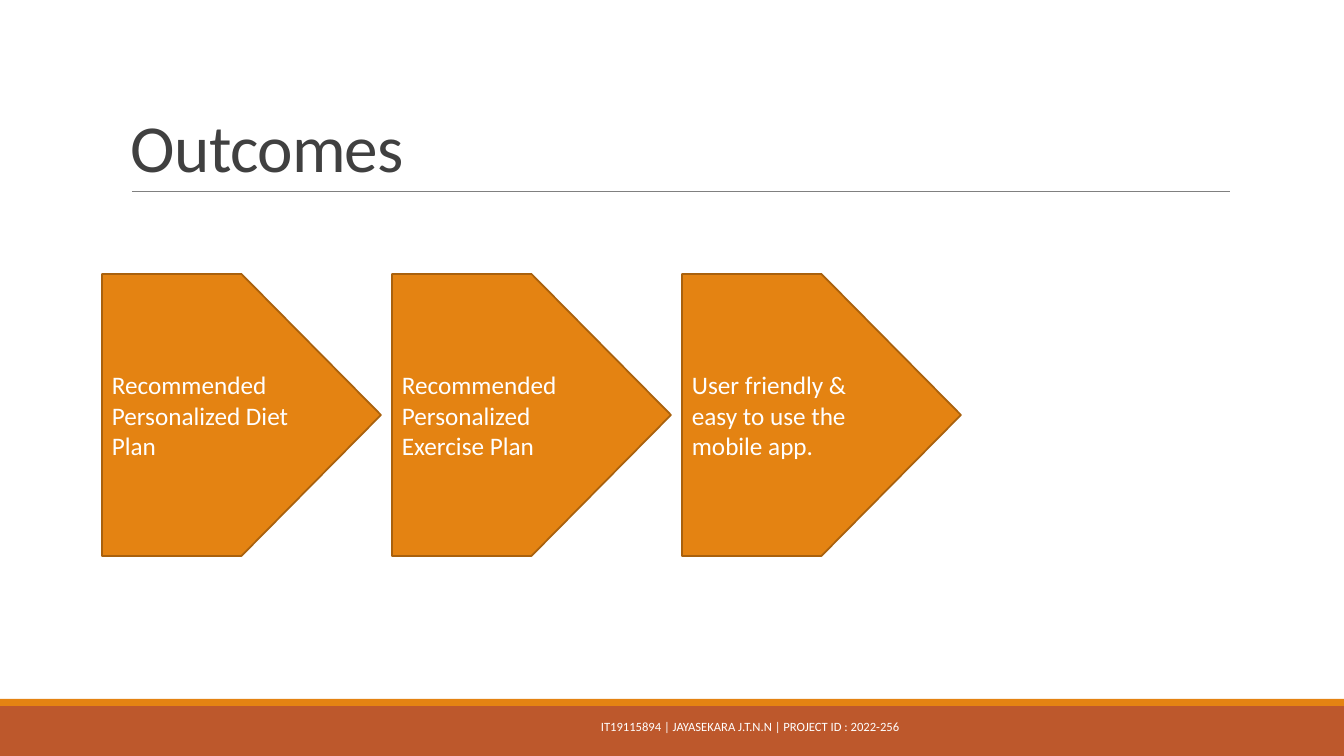
from typing import NamedTuple

from lxml.etree import SubElement
from pptx import Presentation
from pptx.dml.color import RGBColor
from pptx.enum.shapes import MSO_CONNECTOR as Link, MSO_SHAPE as Form
from pptx.enum.text import MSO_ANCHOR as Anchor, PP_ALIGN as Align
from pptx.oxml.ns import qn
from pptx.util import Emu, Pt

WIDTH, HEIGHT = 1344, 756
SCALE = 12192000 / WIDTH

WHITE = RGBColor(0xFF, 0xFF, 0xFF)
DARK = RGBColor(0x40, 0x40, 0x40)
GREY = RGBColor(0x80, 0x80, 0x80)
ORANGE = RGBColor(0xE4, 0x83, 0x12)
BROWN = RGBColor(0xA9, 0x61, 0x0D)
RUST = RGBColor(0xBD, 0x58, 0x2C)

ARROW_LEFT, ARROW_STEP = 102, 290
OUTCOMES = (
    "Recommended Personalized Diet Plan",
    "Recommended Personalized Exercise Plan",
    "User friendly & easy to use the mobile app.",
)


class Box(NamedTuple):
    left: int
    top: int
    width: int
    height: int


class Style(NamedTuple):
    size: int
    color: RGBColor
    anchor: Anchor
    para: dict
    track: int = 0


BARS = ((Box(0, 706, WIDTH, 50), RUST), (Box(0, 699, WIDTH, 7), ORANGE))
TITLE = Style(48, DARK, Anchor.BOTTOM, {"alignment": Align.LEFT, "line_spacing": 0.85}, -50)
LABEL = Style(18, WHITE, Anchor.MIDDLE, {"alignment": Align.LEFT})
FOOTER = Style(9, WHITE, Anchor.MIDDLE, {"alignment": Align.CENTER})


def px(count: int) -> Emu:
    return Emu(round(count * SCALE))


def write(shape, text: str, style: Style) -> None:
    """Fill a shape with one styled paragraph; track is in 1/100 pt."""
    frame = shape.text_frame
    frame.word_wrap = True
    frame.vertical_anchor = style.anchor
    para = frame.paragraphs[0]
    for name, value in style.para.items():
        setattr(para, name, value)
    run = para.add_run()
    run.text = text
    for name, value in {"name": "Calibri", "size": Pt(style.size)}.items():
        setattr(run.font, name, value)
    run.font.color.rgb = style.color
    if style.track:
        run._r.get_or_add_rPr().set("spc", str(style.track))


def add_text(slide, box: Box, text: str, style: Style) -> None:
    write(slide.shapes.add_textbox(*map(px, box)), text, style)


def add_form(slide, form: Form, box: Box, fill: RGBColor):
    shape = slide.shapes.add_shape(form, *map(px, box))
    shape.shadow.inherit = False
    shape.fill.solid()
    shape.fill.fore_color.rgb = fill
    shape.line.fill.background()
    return shape


def add_arrow(slide, box: Box, text: str) -> None:
    arrow = add_form(slide, Form.PENTAGON, box, ORANGE)
    arrow.line.color.rgb = BROWN
    arrow.line.width = Pt(1.25)
    write(arrow, text, LABEL)


def add_rule(slide, left: int, right: int, top: int) -> None:
    rule = slide.shapes.add_connector(Link.STRAIGHT, px(left), px(top), px(right), px(top))
    rule.line.color.rgb = GREY
    rule.line.width = Pt(0.5)
    SubElement(rule._element.spPr, qn("a:effectLst"))


def main() -> None:
    deck = Presentation()
    deck.slide_width, deck.slide_height = px(WIDTH), px(HEIGHT)
    slide = deck.slides.add_slide(deck.slide_layouts[6])
    for box, color in BARS:
        add_form(slide, Form.RECTANGLE, box, color)
    add_rule(slide, 132, 1230, 191)
    add_text(slide, Box(121, 31, 1109, 160), "Outcomes", TITLE)
    for index, text in enumerate(OUTCOMES):
        add_arrow(slide, Box(ARROW_LEFT + index * ARROW_STEP, 274, 279, 282), text)
    add_text(slide, Box(265, 705, 970, 43),
             "IT19115894 | JAYASEKARA J.T.N.N | PROJECT ID : 2022-256", FOOTER)
    deck.save("out.pptx")


if __name__ == "__main__":
    main()
